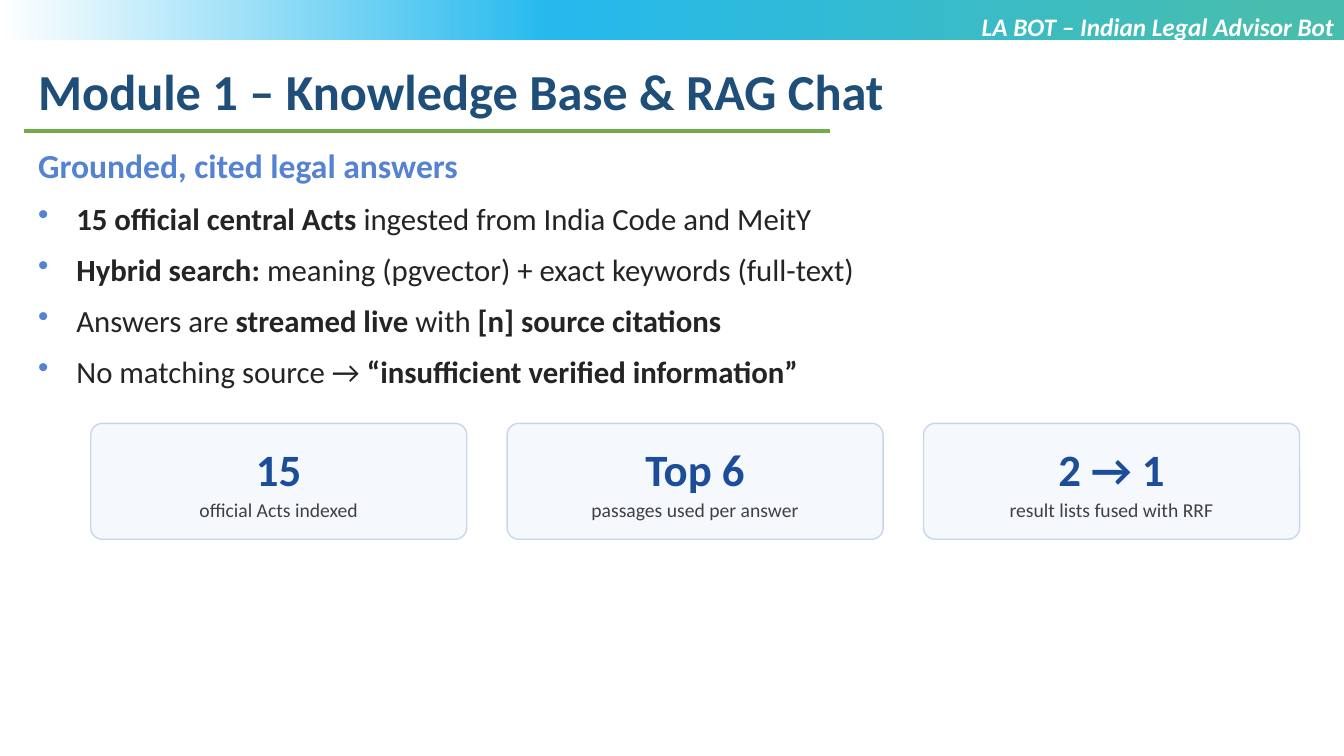
from lxml import etree
from pptx import Presentation
from pptx import util as u
from pptx.dml.color import RGBColor
from pptx.enum import shapes, text
from pptx.oxml import parse_xml
from pptx.oxml.ns import nsdecls, qn

WIDTH, HEIGHT = 13.33, 7.5
FONT = "Calibri"
WHITE = RGBColor(0xFF, 0xFF, 0xFF)
NAVY = RGBColor(0x1F, 0x4E, 0x79)
SKY = RGBColor(0x55, 0x83, 0xD1)
INK = RGBColor(0x24, 0x24, 0x24)
GREEN = RGBColor(0x70, 0xAD, 0x47)
CARD_FILL = RGBColor(0xF5, 0xF9, 0xFD)
CARD_LINE = RGBColor(0xC9, 0xD6, 0xE8)
FIGURE = RGBColor(0x1C, 0x4D, 0x98)
CAPTION = RGBColor(0x40, 0x40, 0x40)
BANNER_STOPS = [
    (5, RGBColor(0x47, 0xBD, 0xAE)),
    (59, RGBColor(0x25, 0xB9, 0xED)),
    (100, WHITE),
]

BANNER = "LA BOT – Indian Legal Advisor Bot"
TITLE = "Module 1 – Knowledge Base & RAG Chat"
SUBTITLE = "Grounded, cited legal answers"
# Each bullet is a list of (words, bold) pieces.
BULLETS = [
    [("15 official central Acts", True), (" ingested from India Code and MeitY", False)],
    [("Hybrid search:", True), (" meaning (pgvector) + exact keywords (full-text)", False)],
    [("Answers are ", False), ("streamed live", True), (" with ", False),
     ("[n] source citations", True)],
    [("No matching source → ", False), ("“insufficient verified information”", True)],
]
CARDS = [
    ("15", "official Acts indexed"),
    ("Top 6", "passages used per answer"),
    ("2 → 1", "result lists fused with RRF"),
]

BANNER_HEIGHT = 0.4
TEXT_LEFT = 0.28
CARDS_LEFT, CARDS_TOP = 0.9, 4.2
CARD_WIDTH, CARD_HEIGHT, CARD_GAP = 3.73, 1.15, 0.4
CARD_INSET = 0.06
BULLET_INDENT = 0.38


def inches(*lengths):
    return [u.Inches(length) for length in lengths]


def add_run(paragraph, words, size, color, bold=True, italic=False):
    run = paragraph.add_run()
    run.text = words
    style = {"name": FONT, "size": u.Pt(size), "bold": bold, "italic": italic}
    for key, value in style.items():
        setattr(run.font, key, value)
    run.font.color.rgb = color


def add_text_frame(slide, left, top, width, height):
    frame = slide.shapes.add_textbox(*inches(left, top, width, height)).text_frame
    frame.word_wrap = True
    return frame


def add_bullet_mark(paragraph):
    properties = paragraph._p.get_or_add_pPr()
    indent = u.Inches(BULLET_INDENT)
    properties.set("marL", str(indent))
    properties.set("indent", str(-indent))
    color = etree.SubElement(properties, qn("a:buClr"))
    etree.SubElement(color, qn("a:srgbClr"), val=str(SKY))
    etree.SubElement(properties, qn("a:buChar"), char="•")


def add_banner(slide):
    banner = slide.shapes.add_shape(
        shapes.MSO_SHAPE.RECTANGLE, *inches(0, 0, WIDTH, BANNER_HEIGHT))
    stops = "".join(
        f'<a:gs pos="{share * 1000}"><a:srgbClr val="{color}"/></a:gs>'
        for share, color in BANNER_STOPS)
    gradient = parse_xml(
        f'<a:gradFill {nsdecls("a")} rotWithShape="1"><a:gsLst>{stops}</a:gsLst>'
        '<a:lin ang="10800000" scaled="0"/></a:gradFill>')
    banner._element.spPr.find(qn("a:prstGeom")).addnext(gradient)
    banner.line.fill.background()
    banner.shadow.inherit = False


def add_body(slide):
    frame = add_text_frame(slide, TEXT_LEFT, 1.39, 11.6, 4.3)
    add_run(frame.paragraphs[0], SUBTITLE, 24, SKY)
    for pieces in BULLETS:
        bullet = frame.add_paragraph()
        add_bullet_mark(bullet)
        bullet.space_before = u.Pt(10)
        for words, bold in pieces:
            add_run(bullet, words, 22, INK, bold)


def add_title(slide):
    frame = add_text_frame(slide, TEXT_LEFT, 0.55, 11.62, 0.71)
    add_run(frame.paragraphs[0], TITLE, 36, NAVY)
    rule = slide.shapes.add_connector(
        shapes.MSO_CONNECTOR.STRAIGHT, *inches(0.24, 1.3, 8.23, 1.3))
    rule.line.color.rgb = GREEN
    rule.line.width = u.Pt(2.25)
    etree.SubElement(rule._element.spPr, qn("a:effectLst"))


def add_banner_label(slide):
    label = add_text_frame(slide, WIDTH / 2, 0.06, WIDTH / 2, 0.71).paragraphs[0]
    label.alignment = text.PP_ALIGN.RIGHT
    add_run(label, BANNER, 18, WHITE, italic=True)


def add_card(slide, column, figure, caption):
    left = CARDS_LEFT + column * (CARD_WIDTH + CARD_GAP)
    card = slide.shapes.add_shape(
        shapes.MSO_SHAPE.ROUNDED_RECTANGLE,
        *inches(left, CARDS_TOP, CARD_WIDTH, CARD_HEIGHT))
    card.adjustments[0] = 0.1
    card.shadow.inherit = False
    card.fill.solid()
    card.fill.fore_color.rgb = CARD_FILL
    card.line.color.rgb = CARD_LINE
    card.line.width = u.Pt(1)
    frame = card.text_frame
    frame.word_wrap = True
    frame.vertical_anchor = text.MSO_ANCHOR.MIDDLE
    for side in ("left", "top", "right", "bottom"):
        setattr(frame, f"margin_{side}", u.Inches(CARD_INSET))
    figure_line, caption_line = frame.paragraphs[0], frame.add_paragraph()
    for line in (figure_line, caption_line):
        line.alignment = text.PP_ALIGN.CENTER
    caption_line.space_before = u.Pt(2)
    add_run(figure_line, figure, 32, FIGURE)
    add_run(caption_line, caption, 14, CAPTION, bold=False)


def main():
    deck = Presentation()
    deck.slide_width, deck.slide_height = inches(WIDTH, HEIGHT)
    slide = deck.slides.add_slide(deck.slide_layouts[6])
    add_banner(slide)
    add_body(slide)
    add_title(slide)
    add_banner_label(slide)
    for column, (figure, caption) in enumerate(CARDS):
        add_card(slide, column, figure, caption)
    deck.save("out.pptx")


if __name__ == "__main__":
    main()
